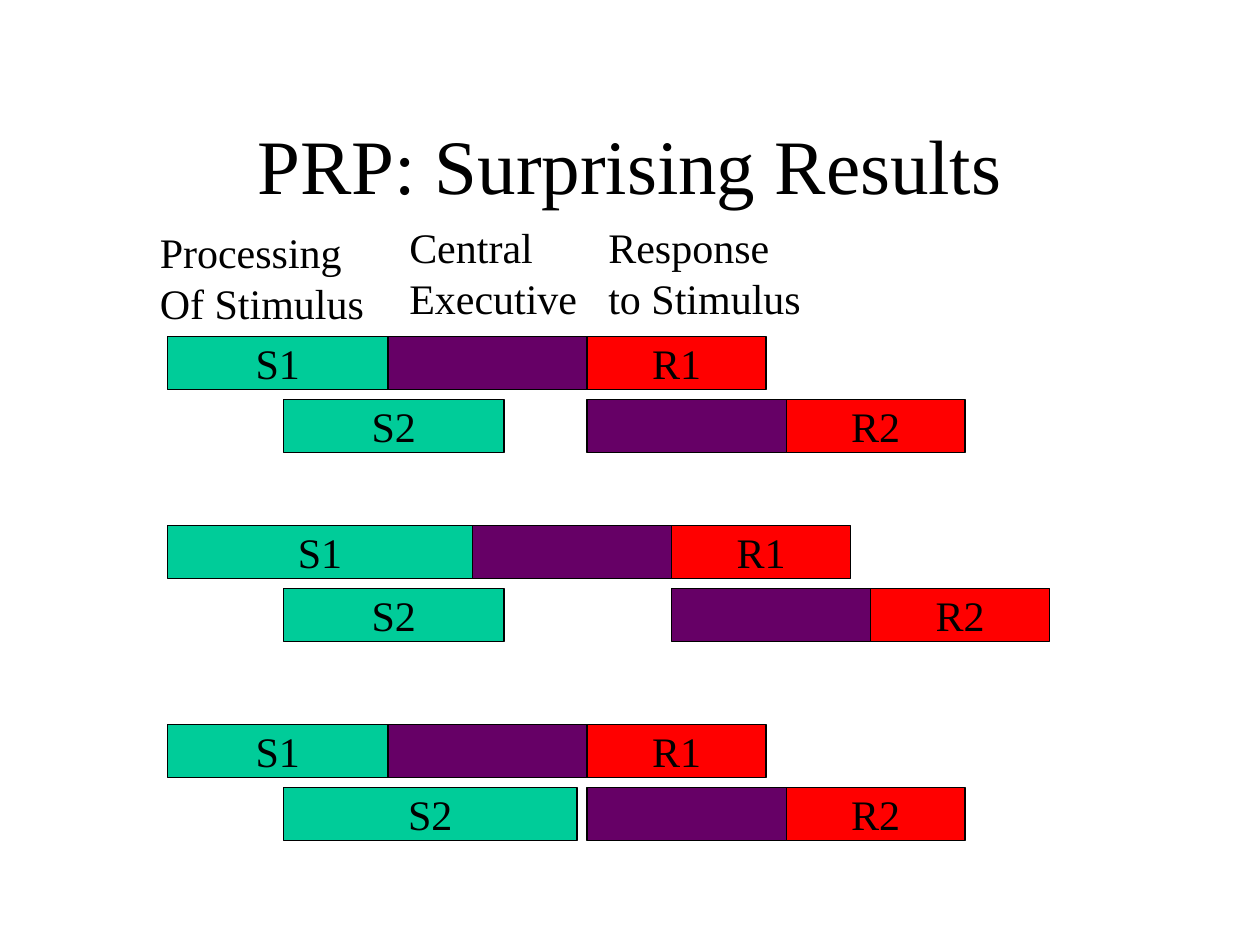
from pptx import Presentation
from pptx import util as u
from pptx.dml.color import RGBColor
from pptx.enum import shapes, text

BLACK = RGBColor(0x00, 0x00, 0x00)
GREEN = RGBColor(0x00, 0xCC, 0x99)
PURPLE = RGBColor(0x66, 0x00, 0x66)
RED = RGBColor(0xFF, 0x00, 0x00)

BAR = 0.42      # bar height
STEP = 0.5      # from first to second task
EXEC = 1.58     # central executive stage
REPLY = 1.42    # response stage
START = {1: 1.33, 2: 2.25}


class Board:
    font = "Times New Roman"
    size = 24

    def __init__(self, slide):
        self.slide = slide

    def fill_in(self, frame, lines, align, size):
        for i, line in enumerate(lines):
            para = frame.paragraphs[0] if i == 0 else frame.add_paragraph()
            para.text = line
            para.alignment = align
            para.font.name = self.font
            para.font.size = u.Pt(size)
            para.font.color.rgb = BLACK

    def title(self, line, *box):
        frame = self.slide.shapes.add_textbox(*map(u.Inches, box)).text_frame
        frame.word_wrap = True
        frame.vertical_anchor = text.MSO_ANCHOR.MIDDLE
        self.fill_in(frame, [line], text.PP_ALIGN.CENTER, 44)

    def label(self, lines, *box):
        frame = self.slide.shapes.add_textbox(*map(u.Inches, box)).text_frame
        frame.word_wrap = True
        self.fill_in(frame, lines, text.PP_ALIGN.LEFT, self.size)

    def bar(self, left, top, width, fill, name=""):
        box = self.slide.shapes.add_shape(
            shapes.MSO_SHAPE.RECTANGLE,
            *map(u.Inches, (left, top, width, BAR)))
        box.shadow.inherit = False
        box.fill.solid()
        box.fill.fore_color.rgb = fill
        box.line.color.rgb = BLACK
        box.line.width = u.Pt(0.75)
        if name:
            frame = box.text_frame
            frame.word_wrap = False
            frame.vertical_anchor = text.MSO_ANCHOR.MIDDLE
            self.fill_in(frame, [name], text.PP_ALIGN.CENTER, self.size)

    def task(self, num, top, sense, ready):
        """Draw stimulus, executive and response bars; executive begins at ready."""
        self.bar(START[num], top, sense, GREEN, f"S{num}")
        self.bar(ready, top, EXEC, PURPLE)
        self.bar(ready + EXEC, top, REPLY, RED, f"R{num}")

    def trial(self, top, first, second):
        """Draw two tasks; the second waits until the executive is free."""
        ready = START[1] + first
        self.task(1, top, first, ready)
        self.task(2, top + STEP, second, ready + EXEC)


def main():
    deck = Presentation()
    deck.slide_width, deck.slide_height = u.Inches(10), u.Inches(7.5)
    board = Board(deck.slides.add_slide(deck.slide_layouts[6]))

    board.title("PRP: Surprising Results", 0.75, 0.67, 8.5, 1.25)
    board.label(["Processing", "Of Stimulus"], 1.17, 1.75, 1.9, 0.9)
    board.label(["Central", "Executive"], 3.15, 1.71, 1.6, 0.9)
    board.label(["Response", "to Stimulus"], 4.73, 1.71, 1.8, 0.9)

    for top, first, second in ((2.67, 1.75, 1.75),
                               (4.17, 2.42, 1.75),
                               (5.75, 1.75, 2.33)):
        board.trial(top, first, second)

    deck.save("out.pptx")


if __name__ == "__main__":
    main()
